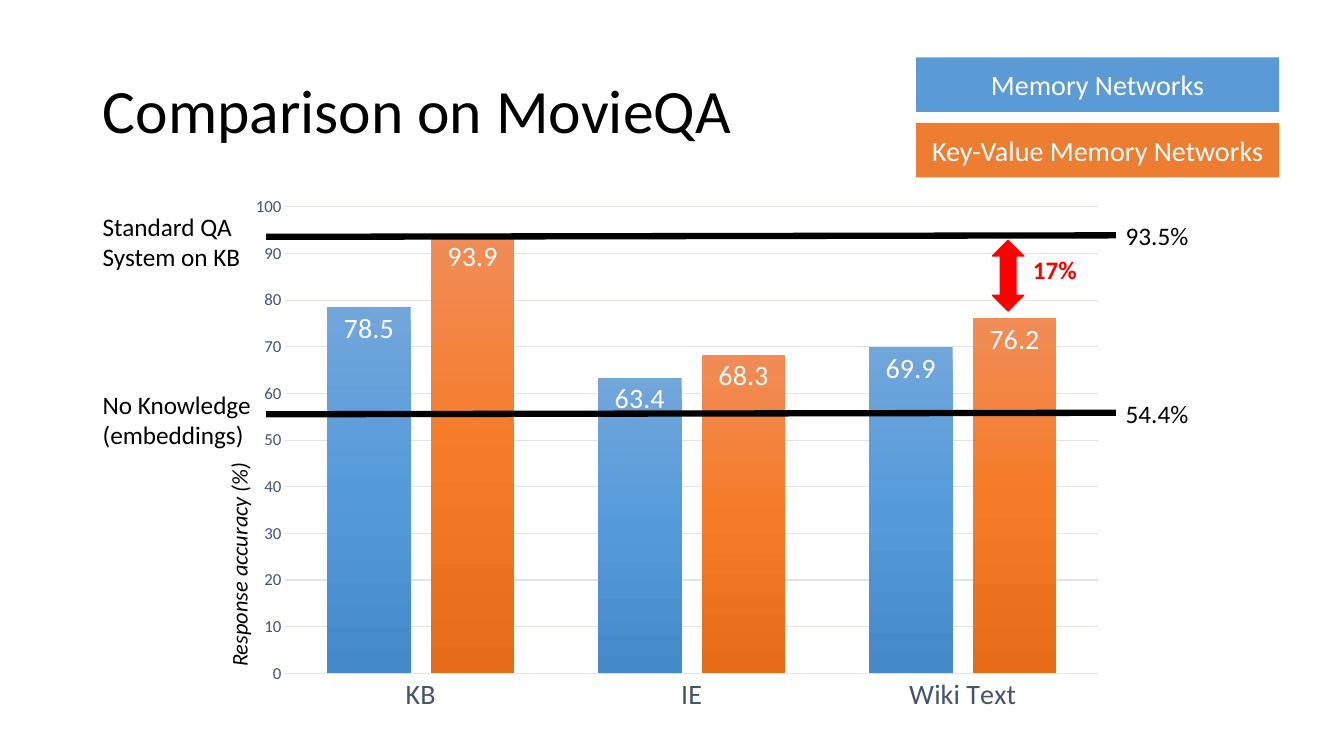
import copy
from dataclasses import dataclass

import lxml.etree
import pptx
import pptx.chart.data
import pptx.dml.color
import pptx.enum.chart
import pptx.enum.shapes
import pptx.enum.text
import pptx.oxml
import pptx.oxml.ns
import pptx.util

RGB = pptx.dml.color.RGBColor
Align = pptx.enum.text.PP_ALIGN
Anchor = pptx.enum.text.MSO_ANCHOR
Preset = pptx.enum.shapes.MSO_SHAPE

BLACK = RGB(0x00, 0x00, 0x00)
WHITE = RGB(0xFF, 0xFF, 0xFF)
RED = RGB(0xFF, 0x00, 0x00)
BLUE = RGB(0x5B, 0x9B, 0xD5)
ORANGE = RGB(0xED, 0x7D, 0x31)
SLATE = RGB(0x44, 0x54, 0x6A)
GRID = RGB(0xE0, 0xE5, 0xEB)
BLUE_GRADIENT = (RGB(0x71, 0xA6, 0xDB), RGB(0x55, 0x9B, 0xDB), RGB(0x44, 0x8A, 0xCA))
ORANGE_GRADIENT = (RGB(0xF1, 0x8C, 0x57), RGB(0xF6, 0x7B, 0x28), RGB(0xE5, 0x6C, 0x19))

FONT = "Calibri"
SLIDE_WIDTH = pptx.util.Inches(13.33)
SLIDE_HEIGHT = pptx.util.Inches(7.5)
LEFT_MARGIN = 6.9
LINE_START, LINE_END = 19.8, 83.02
NOTE_WIDTH, NOTE_HEIGHT = 17.7, 5.33


@dataclass(frozen=True)
class Box:
    """A rectangle in percent of the slide's width and height."""

    left: float
    top: float
    width: float
    height: float

    def emu(self) -> tuple[int, int, int, int]:
        return (across(self.left), down(self.top), across(self.width), down(self.height))


@dataclass(frozen=True)
class Style:
    size: float
    color: RGB = BLACK
    bold: bool = False
    italic: bool = False


@dataclass(frozen=True)
class Method:
    name: str
    series: str
    accuracy: tuple[float, ...]
    color: RGB
    gradient: tuple[RGB, RGB, RGB]


@dataclass(frozen=True)
class Baseline:
    label: tuple[str, ...]
    value: str
    height: float


SOURCES = ("KB", "IE", "Wiki Text")
METHODS = (
    Method("Memory Networks", "Series 1", (78.5, 63.4, 69.9), BLUE, BLUE_GRADIENT),
    Method("Key-Value Memory Networks", "Series 2", (93.9, 68.3, 76.2), ORANGE, ORANGE_GRADIENT),
)
BASELINES = (
    Baseline(("No Knowledge", "(embeddings)"), "54.4%", 54.8),
    Baseline(("Standard QA", "System on KB"), "93.5%", 31.33),
)
NOTE = Style(18)


def across(percent: float) -> int:
    return round(SLIDE_WIDTH * percent / 100)


def down(percent: float) -> int:
    return round(SLIDE_HEIGHT * percent / 100)


def style_font(font, style: Style) -> None:
    font.name = FONT
    font.size = pptx.util.Pt(style.size)
    font.bold = style.bold
    font.italic = style.italic
    font.color.rgb = style.color


def write(frame, lines: tuple[str, ...], style: Style, align=Align.LEFT) -> None:
    for index, line in enumerate(lines):
        paragraph = frame.add_paragraph() if index else frame.paragraphs[0]
        paragraph.alignment = align
        run = paragraph.add_run()
        run.text = line
        style_font(run.font, style)


def add_title(slide, text: str) -> None:
    title = slide.shapes.title
    title.left, title.top, title.width, title.height = Box(LEFT_MARGIN, 5.33, 86.25, 19.33).emu()
    frame = title.text_frame
    frame.auto_size = pptx.enum.text.MSO_AUTO_SIZE.NONE
    frame.vertical_anchor = Anchor.MIDDLE
    write(frame, (text,), Style(44))
    frame.paragraphs[0].line_spacing = 0.9


def add_note(slide, box: Box, lines: tuple[str, ...], style: Style, rotation: float = 0) -> None:
    note = slide.shapes.add_textbox(*box.emu())
    note.rotation = rotation
    note.text_frame.word_wrap = True
    write(note.text_frame, lines, style)


def add_filled(slide, preset, box: Box, color: RGB):
    shape = slide.shapes.add_shape(preset, *box.emu())
    shape.shadow.inherit = False
    shape.fill.solid()
    shape.fill.fore_color.rgb = color
    shape.line.fill.background()
    return shape


def fill_gradient(series, colors: tuple[RGB, RGB, RGB]) -> None:
    """Fill the bars from top to bottom with three evenly spaced colours."""
    fill = series.format.fill
    fill.gradient()
    fill.gradient_angle = 270
    stop_list = series.format.fill.gradient_stops
    first = series._element.xpath(".//a:gsLst/a:gs")[0]
    first.addnext(copy.deepcopy(first))
    stop_list = fill.gradient_stops
    for index, (stop, color) in enumerate(zip(stop_list, colors)):
        stop.position = index / 2
        stop.color.rgb = color


def style_axis(axis, size: float) -> None:
    axis.major_tick_mark = axis.minor_tick_mark = pptx.enum.chart.XL_TICK_MARK.NONE
    style_font(axis.tick_labels.font, Style(size, SLATE))


def place_plot(chart, x: float, y: float, w: float, h: float) -> None:
    """Fix the inner plot area, in percent of the chart's size."""
    plot_area = chart._chartSpace.chart.plotArea
    for old in plot_area.xpath("c:layout"):
        plot_area.remove(old)
    layout = lxml.etree.Element(pptx.oxml.ns.qn("c:layout"))
    manual = lxml.etree.SubElement(layout, pptx.oxml.ns.qn("c:manualLayout"))
    settings = {"layoutTarget": "inner", "xMode": "edge", "yMode": "edge",
                "x": x / 100, "y": y / 100, "w": w / 100, "h": h / 100}
    for tag, value in settings.items():
        lxml.etree.SubElement(manual, pptx.oxml.ns.qn(f"c:{tag}")).set("val", str(value))
    plot_area.insert(0, layout)


def add_accuracy_chart(slide) -> None:
    data = pptx.chart.data.CategoryChartData()
    data.categories = SOURCES
    for method in METHODS:
        data.add_series(method.series, method.accuracy)
    kind = pptx.enum.chart.XL_CHART_TYPE.COLUMN_CLUSTERED
    chart = slide.shapes.add_chart(kind, *Box(17.7, 24.67, 65.32, 70.93).emu(), data).chart
    chart.has_title = chart.has_legend = False
    style_font(chart.font, Style(10))
    place_plot(chart, 5.4, 3.8, 92.6, 87)

    style_axis(chart.category_axis, 20)
    style_axis(chart.value_axis, 12)
    chart.value_axis.minimum_scale, chart.value_axis.maximum_scale = 0, 100
    chart.value_axis.major_unit = 10
    chart.value_axis.format.line.fill.background()
    for line in (chart.category_axis.format.line, chart.value_axis.major_gridlines.format.line):
        line.color.rgb = GRID
        line.width = pptx.util.Pt(0.75)

    plot = chart.plots[0]
    plot.gap_width, plot.overlap, plot.vary_by_categories = 100, -24, False
    for series, method in zip(plot.series, METHODS):
        fill_gradient(series, method.gradient)
        labels = series.data_labels
        labels.show_value = True
        labels.position = pptx.enum.chart.XL_LABEL_POSITION.INSIDE_END
        style_font(labels.font, Style(20, WHITE))


def add_baseline(slide, baseline: Baseline) -> None:
    line = slide.shapes.add_connector(
        pptx.enum.shapes.MSO_CONNECTOR.STRAIGHT,
        across(LINE_START), down(baseline.height), across(LINE_END), down(baseline.height - 0.2))
    line.line.color.rgb = BLACK
    line.line.width = pptx.util.Pt(4.5)
    lxml.etree.SubElement(line._element.spPr, pptx.oxml.ns.qn("a:effectLst"))
    add_note(slide, Box(LEFT_MARGIN, baseline.height - 4, NOTE_WIDTH, 9.47), baseline.label, NOTE)
    add_note(slide, Box(LINE_END, baseline.height - 2.8, NOTE_WIDTH, NOTE_HEIGHT),
             (baseline.value,), NOTE)


def add_gap_arrow(slide) -> None:
    arrow = add_filled(slide, Preset.LEFT_RIGHT_ARROW, Box(72.38, 34.4, 5.25, 4.13), RED)
    arrow.rotation = 90
    arrow.line.color.rgb = RED
    arrow.line.width = pptx.util.Pt(1)
    add_note(slide, Box(76.12, 32.93, NOTE_WIDTH, NOTE_HEIGHT), ("17%",), Style(18, RED, bold=True))


def add_key(slide) -> None:
    for row, method in enumerate(METHODS):
        key = add_filled(slide, Preset.RECTANGLE, Box(68.17, 7.6 + 8.67 * row, 27, 7.2), method.color)
        key.text_frame.word_wrap = True
        key.text_frame.vertical_anchor = Anchor.MIDDLE
        write(key.text_frame, (method.name,), Style(20, WHITE), Align.CENTER)


def main() -> None:
    deck = pptx.Presentation()
    deck.slide_width, deck.slide_height = SLIDE_WIDTH, SLIDE_HEIGHT
    slide = deck.slides.add_slide(deck.slide_layouts.get_by_name("Title Only"))
    add_title(slide, "Comparison on MovieQA")
    add_accuracy_chart(slide)
    for baseline in BASELINES:
        add_baseline(slide, baseline)
    add_gap_arrow(slide)
    add_key(slide)
    add_note(slide, Box(8.02, 69.73, 19.5, 4.93), ("Response accuracy (%)",),
             Style(16, italic=True), rotation=270)
    deck.save("out.pptx")


if __name__ == "__main__":
    main()
